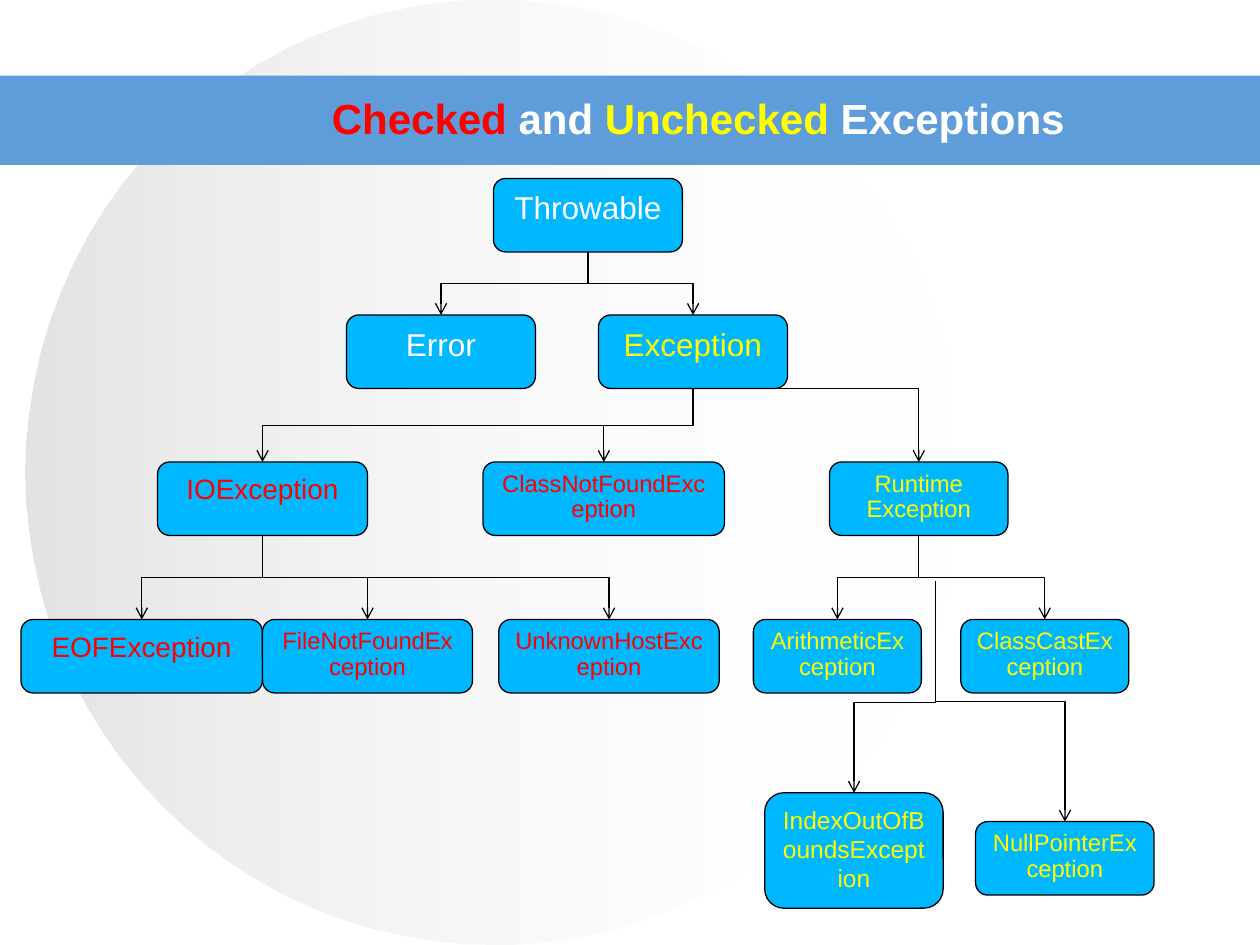
"""Build a slide with the tree of checked and unchecked exceptions."""
from lxml import etree
from pptx import Presentation
from pptx import util as u
from pptx.dml.color import RGBColor
from pptx.enum import shapes, text
from pptx.oxml.ns import qn

WHITE, BLACK, RED, YELLOW = "FFFFFF", "000000", "FF0000", "FFFF00"
BLUE, BAND, GREY = "00B8FF", "5E9CDA", "C0C0C0"
TITLE = [("Checked", RED), (" and ", WHITE), ("Unchecked", YELLOW), (" Exceptions", WHITE)]
BOX_HEIGHT = 42
ROWS = [
    (102, [("Throwable", 282, 108, 18, WHITE)]),
    (180, [("Error", 198, 108, 18, WHITE), ("Exception", 342, 108, 18, YELLOW)]),
    (264, [("IOException", 90, 120, 16, RED),
           ("ClassNotFoundException", 276, 138, 13.6, RED),
           ("Runtime Exception", 474, 102, 13.6, YELLOW)]),
    (354, [("EOFException", 12, 138, 16, RED),
           ("FileNotFoundException", 150, 120, 13.6, RED),
           ("UnknownHostException", 285, 126, 13.6, RED),
           ("ArithmeticException", 430.5, 96, 13.6, YELLOW),
           ("ClassCastException", 549, 96, 13.6, YELLOW)]),
    (453, [("IndexOutOfBoundsException", 437, 102, 14, YELLOW)]),
    (469.5, [("NullPointerException", 557.5, 102, 13.6, YELLOW)]),
]
TALL = {"IndexOutOfBoundsException": 66}
CHILDREN = {
    "Throwable": ["Error", "Exception"],
    "Exception": ["Runtime Exception", "ClassNotFoundException", "IOException"],
    "IOException": ["EOFException", "FileNotFoundException", "UnknownHostException"],
    "Runtime Exception": ["ArithmeticException", "ClassCastException"],
}
SIDE_ENTRY = {"Runtime Exception"}
LOOSE_STARTS = {"IndexOutOfBoundsException": (534.5, 349.5), "NullPointerException": (534.5, 332)}


def color(value):
    return RGBColor.from_string(value)


def write(paragraph, words, size=18, ink=BLACK, bold=False, spacing=None):
    paragraph.alignment = text.PP_ALIGN.CENTER
    paragraph.line_spacing = spacing
    run = paragraph.add_run()
    run.text = words
    run.font.name, run.font.size, run.font.bold = "Arial", u.Pt(size), bold
    run.font.color.rgb = color(ink)


def add_shape(slide, kind, left, top, width, height, fill=None, line=None):
    shape = slide.shapes.add_shape(kind, u.Pt(left), u.Pt(top), u.Pt(width), u.Pt(height))
    shape.shadow.inherit = False
    if fill:
        shape.fill.solid()
        shape.fill.fore_color.rgb = color(fill)
    if line:
        shape.line.color.rgb = color(line)
        shape.line.width = u.Pt(0.75)
    else:
        shape.line.fill.background()
    return shape


def add_backdrop(slide):
    ellipse = add_shape(slide, shapes.MSO_SHAPE.OVAL, 14.4, 0, 535.7, 540)
    ellipse.fill.gradient()
    ellipse.fill.gradient_angle = 0
    for stop, ink, opacity in zip(ellipse.fill.gradient_stops, (GREY, WHITE), (44, 0)):
        stop.color.rgb = color(ink)
    for ink, opacity in zip(ellipse._element.spPr.iter(qn("a:srgbClr")), (44, 0)):
        etree.SubElement(ink, qn("a:alpha"), val=str(opacity * 1000))
    add_shape(slide, shapes.MSO_SHAPE.RECTANGLE, 0, 43.2, 720, 51, fill=BAND)


def add_title(slide):
    title = slide.shapes.title
    title.left, title.top, title.width, title.height = map(u.Pt, (162, 48.2, 474, 38.2))
    title.text_frame.vertical_anchor = text.MSO_ANCHOR.MIDDLE
    for words, ink in TITLE:
        write(title.text_frame.paragraphs[0], words, size=24, ink=ink, bold=True)
    slide.shapes._spTree.append(title._element)


def add_box(slide, name, left, top, width, size, ink):
    """Draw one class box and return its top and bottom centre points."""
    height = TALL.get(name, BOX_HEIGHT)
    box = add_shape(slide, shapes.MSO_SHAPE.ROUNDED_RECTANGLE,
                    left, top, width, height, fill=BLUE, line=BLACK)
    frame = box.text_frame
    frame.word_wrap = True
    frame.vertical_anchor = text.MSO_ANCHOR.TOP
    frame.margin_left = frame.margin_right = u.Pt(7.2)
    frame.margin_top = frame.margin_bottom = u.Pt(3.6)
    write(frame.paragraphs[0], name, size=size, ink=ink, spacing=0.9 if size == 13.6 else None)
    center = left + width / 2
    return (center, top), (center, top + height)


def add_arrow(slide, start, end, sideways=False):
    """Draw an elbow arrow that leaves downwards, or sideways with one bend."""
    (x1, y1), (x2, y2) = start, end
    corners = (x1, y1, x2, y2)
    if not sideways:
        middle_x, middle_y = (x1 + x2) / 2, (y1 + y2) / 2
        reach = (y2 - y1) / 2 * (1 if x2 < x1 else -1)
        rise = abs(x2 - x1) / 2
        corners = (middle_x - reach, middle_y - rise, middle_x + reach, middle_y + rise)
    arrow = slide.shapes.add_connector(shapes.MSO_CONNECTOR.ELBOW, *map(u.Pt, corners))
    properties = arrow._element.spPr
    if sideways:
        properties.find(qn("a:prstGeom")).set("prst", "bentConnector2")
    else:
        turn = 90 if x2 < x1 else 270
        properties.find(qn("a:xfrm")).set("rot", str(turn * 60000))
    arrow.line.color.rgb = color(BLACK)
    arrow.line.width = u.Pt(0.75)
    etree.SubElement(properties.find(qn("a:ln")), qn("a:tailEnd"), type="arrow")
    etree.SubElement(properties, qn("a:effectLst"))


def main():
    presentation = Presentation()
    presentation.slide_width, presentation.slide_height = u.Pt(720), u.Pt(540)
    slide = presentation.slides.add_slide(presentation.slide_layouts[5])
    add_backdrop(slide)
    add_title(slide)
    tops, bottoms = {}, {}
    for top, boxes in ROWS:
        for name, left, width, size, ink in boxes:
            tops[name], bottoms[name] = add_box(slide, name, left, top, width, size, ink)
    for parent, children in CHILDREN.items():
        for child in children:
            add_arrow(slide, bottoms[parent], tops[child], sideways=child in SIDE_ENTRY)
    for child, start in LOOSE_STARTS.items():
        add_arrow(slide, start, tops[child])
    presentation.save("out.pptx")


if __name__ == "__main__":
    main()
